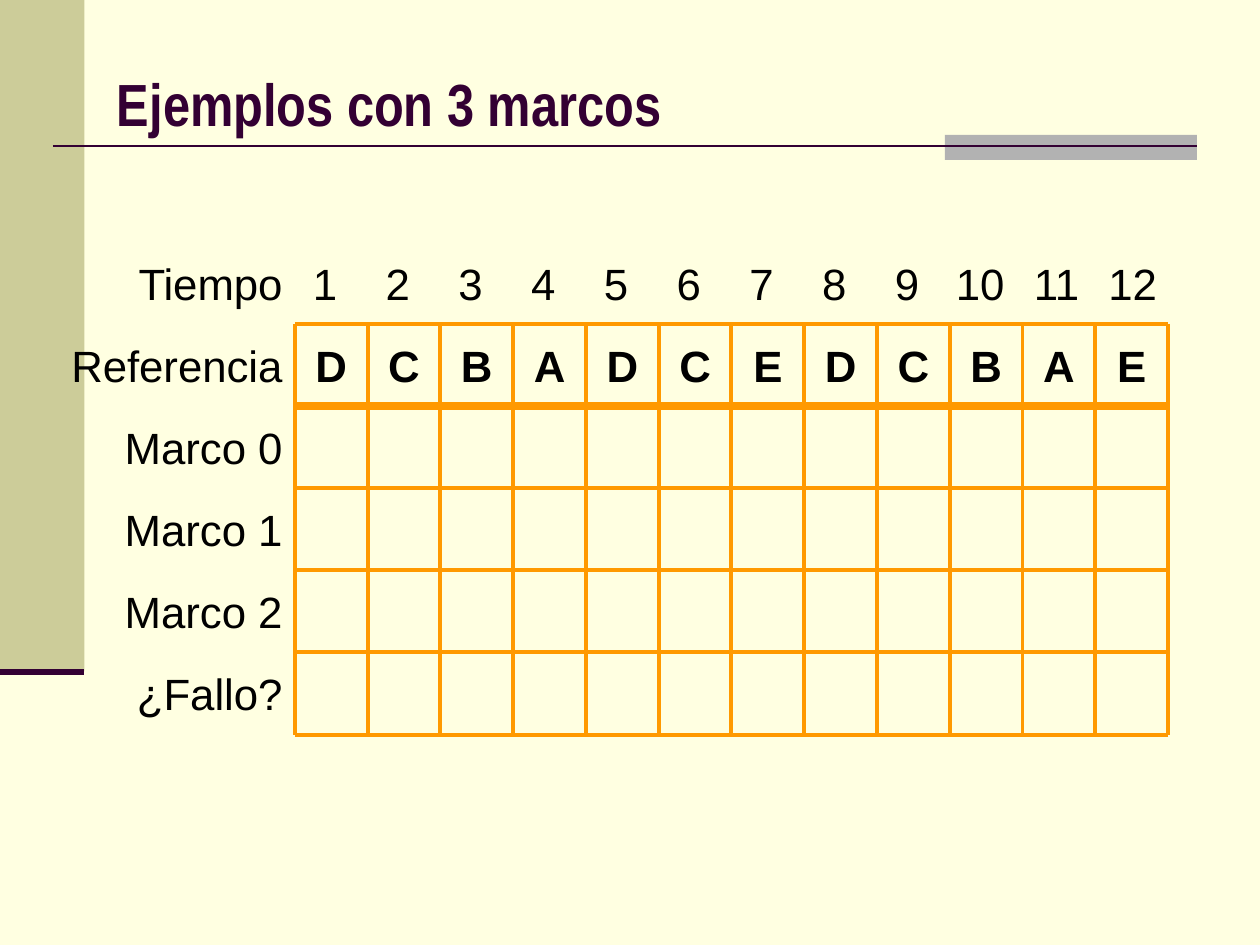
from lxml.etree import SubElement
from pptx import Presentation
from pptx.dml.color import RGBColor
from pptx.enum.shapes import MSO_CONNECTOR, MSO_SHAPE
from pptx.enum.text import MSO_ANCHOR, PP_ALIGN
from pptx.oxml.ns import qn
from pptx.util import Inches, Pt

TITLE = "Ejemplos con 3 marcos"
ROW_LABELS = ["Tiempo", "Referencia", "Marco 0", "Marco 1", "Marco 2", "¿Fallo?"]
REFERENCES = ["D", "C", "B", "A", "D", "C", "E", "D", "C", "B", "A", "E"]
COLORS = {
    "background": "FFFFE1",
    "sidebar": "CCCC99",
    "accent": "B2B2B2",
    "title": "330033",
    "text": "000000",
    "grid": "FF9900",
}
BANDS = [
    (0, 0, 0.67, 5.33, "sidebar"),
    (7.5, 1.07, 2, 0.2, "accent"),
]
RULES = [
    (0.42, 1.16, 9.5, 1.16, 1.5),
    (0, 5.33, 0.67, 5.33, 3.5),
]
GRID_LEFT, GRID_TOP, GRID_RIGHT, GRID_BOTTOM = 2.34, 2.57, 9.27, 5.83
ROWS, COLUMNS = len(ROW_LABELS) - 1, len(REFERENCES)
ROW_HEIGHT = (GRID_BOTTOM - GRID_TOP) / ROWS
COLUMN_WIDTH = (GRID_RIGHT - GRID_LEFT) / COLUMNS
TIME_TOP = GRID_TOP - ROW_HEIGHT
TIME_LEFT = 2.29
ONE_DIGIT_TIMES = 9
WIDE_TIME_FIRST, WIDE_TIME_LAST, WIDE_TIME_WIDTH = 7.43, 8.64, 0.7
LABEL_LEFT = 0.35
THIN, THICK = 2.25, 4.5


def color(name):
    return RGBColor.from_string(COLORS[name])


def add_text(slide, text, left, top, width, height, wrap=True, size=25,
             font="Arial", tint="text", bold=False, align=PP_ALIGN.CENTER):
    box = slide.shapes.add_textbox(
        Inches(left), Inches(top), Inches(width), Inches(height))
    box.text_frame.word_wrap = wrap
    box.text_frame.vertical_anchor = MSO_ANCHOR.MIDDLE
    paragraph = box.text_frame.paragraphs[0]
    paragraph.alignment = align
    run = paragraph.add_run()
    run.text = text
    run.font.size = Pt(size)
    run.font.name = font
    run.font.bold = bold
    run.font.color.rgb = color(tint)


def add_band(slide, left, top, width, height, fill):
    band = slide.shapes.add_shape(
        MSO_SHAPE.RECTANGLE, Inches(left), Inches(top), Inches(width), Inches(height))
    band.shadow.inherit = False
    band.fill.solid()
    band.fill.fore_color.rgb = color(fill)
    band.line.fill.background()


def add_line(slide, x1, y1, x2, y2, weight, tint):
    line = slide.shapes.add_connector(
        MSO_CONNECTOR.STRAIGHT, Inches(x1), Inches(y1), Inches(x2), Inches(y2))
    line.line.color.rgb = color(tint)
    line.line.width = Pt(weight)
    SubElement(line._element.spPr, qn("a:effectLst"))


def add_times(slide):
    wide_step = (WIDE_TIME_LAST - WIDE_TIME_FIRST) / (COLUMNS - ONE_DIGIT_TIMES - 1)
    for index in range(COLUMNS):
        if index < ONE_DIGIT_TIMES:
            left, width = TIME_LEFT + index * COLUMN_WIDTH, COLUMN_WIDTH
        else:
            left = WIDE_TIME_FIRST + (index - ONE_DIGIT_TIMES) * wide_step
            width = WIDE_TIME_WIDTH
        add_text(slide, str(index + 1), left, TIME_TOP, width, ROW_HEIGHT)


def add_grid(slide):
    for index, reference in enumerate(REFERENCES):
        add_text(slide, reference, GRID_LEFT + index * COLUMN_WIDTH, GRID_TOP,
                 COLUMN_WIDTH, ROW_HEIGHT, bold=True)
    for column in range(COLUMNS + 1):
        x = GRID_LEFT + column * COLUMN_WIDTH
        add_line(slide, x, GRID_TOP, x, GRID_BOTTOM, THIN, "grid")
    for row in range(ROWS + 1):
        y = GRID_TOP + row * ROW_HEIGHT
        weight = THICK if row == 1 else THIN
        add_line(slide, GRID_LEFT, y, GRID_RIGHT, y, weight, "grid")


def main():
    presentation = Presentation()
    presentation.slide_width = Inches(10)
    presentation.slide_height = Inches(7.5)
    slide = presentation.slides.add_slide(presentation.slide_layouts[6])
    slide.background.fill.solid()
    slide.background.fill.fore_color.rgb = color("background")
    for band in BANDS:
        add_band(slide, *band)
    for rule in RULES:
        add_line(slide, *rule, "title")
    add_text(slide, TITLE, 0.83, 0.48, 4.52, 0.67, wrap=False, size=34,
             font="Arial Narrow", tint="title", bold=True, align=PP_ALIGN.LEFT)
    for index, label in enumerate(ROW_LABELS):
        add_text(slide, label, LABEL_LEFT, TIME_TOP + index * ROW_HEIGHT,
                 GRID_LEFT - LABEL_LEFT, ROW_HEIGHT, align=PP_ALIGN.RIGHT)
    add_times(slide)
    add_grid(slide)
    presentation.save("out.pptx")


if __name__ == "__main__":
    main()
